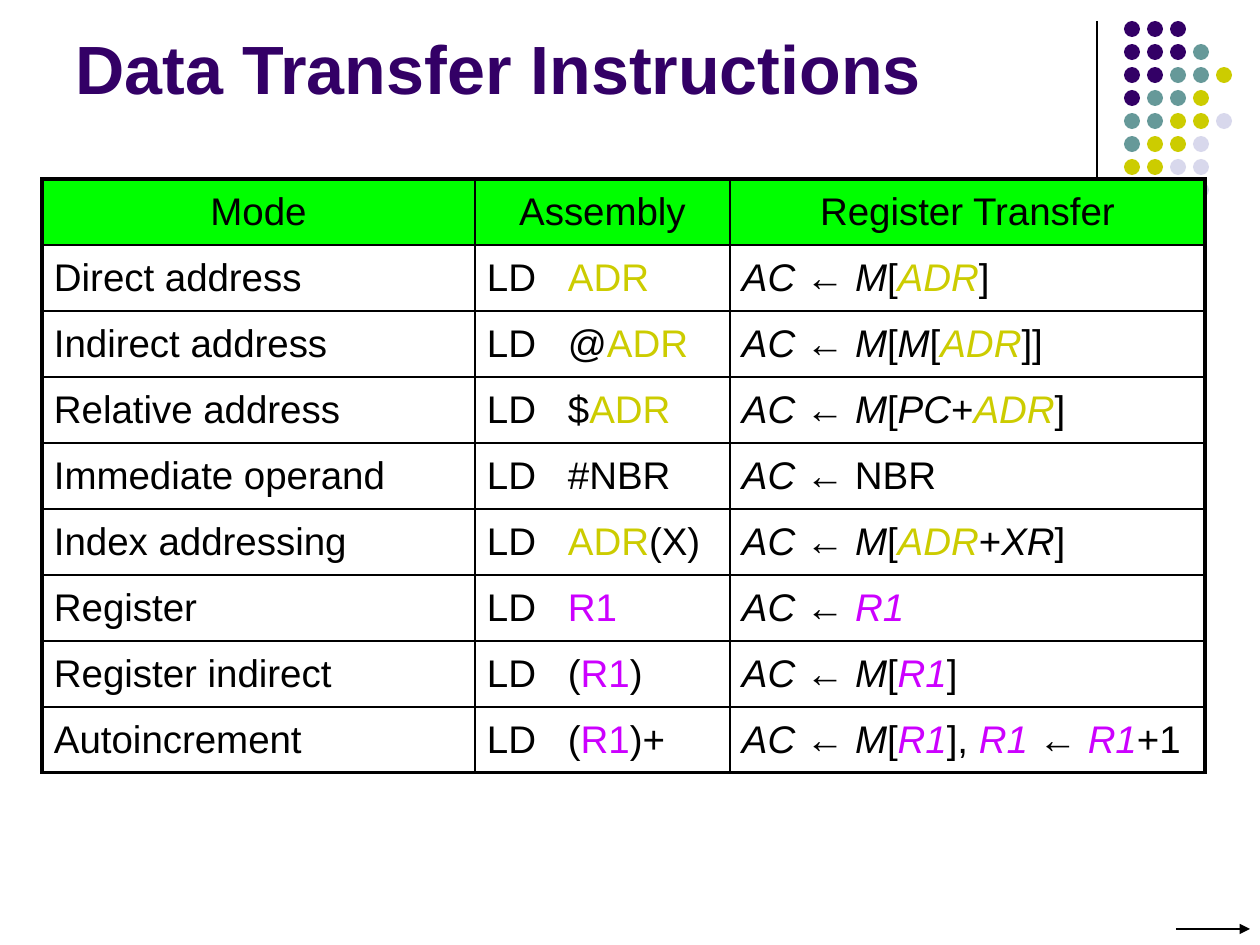
from typing import Any, NamedTuple

from lxml import etree
from pptx import Presentation
from pptx.dml.color import RGBColor
from pptx.enum.shapes import MSO_CONNECTOR, MSO_SHAPE
from pptx.enum.text import MSO_ANCHOR, MSO_AUTO_SIZE, PP_ALIGN
from pptx.oxml.ns import qn
from pptx.util import Emu, Pt

PX = 914400 / 126
OVAL = MSO_SHAPE.OVAL
STRAIGHT = MSO_CONNECTOR.STRAIGHT
LEFT, CENTER = PP_ALIGN.LEFT, PP_ALIGN.CENTER
MIDDLE, BOTTOM = MSO_ANCHOR.MIDDLE, MSO_ANCHOR.BOTTOM
NO_FIT = MSO_AUTO_SIZE.NONE

BLACK = RGBColor(0x00, 0x00, 0x00)
GREEN = RGBColor(0x00, 0xFF, 0x00)
PURPLE = RGBColor(0x33, 0x00, 0x66)
TEAL = RGBColor(0x66, 0x99, 0x99)
YELLOW = RGBColor(0xCC, 0xCC, 0x00)
LILAC = RGBColor(0xD8, 0xD8, 0xEC)
PINK = RGBColor(0xCC, 0x00, 0xFF)

DOTS = ["PPP", "PPPT", "PPTTY", "PTTY", "TTYYL", "TYYL", "YYLL", " L L"]
HUES = {"P": PURPLE, "T": TEAL, "Y": YELLOW, "L": LILAC}
TONES = {"ADR": YELLOW, "R1": PINK}
SLANTED = {"AC", "M", "PC", "XR", "ADR", "R1"}

TITLE_FONT = {"name": "Arial", "size": Pt(39), "bold": True}
CELL_FONT = {"name": "Arial", "size": Pt(22), "bold": False}
WIDTHS = [433, 255, 475]
ROW = 66
PAD = 12
TAB = 81


class Mode(NamedTuple):
    name: str
    code: str
    move: str


class Line(NamedTuple):
    x1: int
    y1: int
    x2: int
    y2: int
    arrow: bool


HEAD = Mode("Mode", "Assembly", "Register Transfer")
MODES = [
    Mode("Direct address", "LD\t|ADR", "AC| ← |M|[|ADR|]"),
    Mode("Indirect address", "LD\t@|ADR", "AC| ← |M|[|M|[|ADR|]]"),
    Mode("Relative address", "LD\t$|ADR", "AC| ← |M|[|PC|+|ADR|]"),
    Mode("Immediate operand", "LD\t#NBR", "AC| ← NBR"),
    Mode("Index addressing", "LD\t|ADR|(X)", "AC| ← |M|[|ADR|+|XR|]"),
    Mode("Register", "LD\t|R1", "AC| ← |R1"),
    Mode("Register indirect", "LD\t(|R1|)", "AC| ← |M|[|R1|]"),
    Mode("Autoincrement", "LD\t(|R1|)+", "AC| ← |M|[|R1|], |R1| ← |R1|+1"),
]
LINES = [Line(1097, 21, 1097, 230, False), Line(1176, 929, 1250, 929, True)]


def px(count: int) -> Emu:
    return Emu(round(count * PX))


def style(item: Any, values: dict[str, Any]) -> None:
    for key, value in values.items():
        setattr(item, key, value)


def add_title(slide: Any, text: str) -> None:
    title = slide.shapes.title
    style(title, {"left": px(63), "top": px(16), "width": px(1040), "height": px(98)})
    frame = title.text_frame
    style(frame, {"text": text, "word_wrap": True, "auto_size": NO_FIT,
                  "vertical_anchor": BOTTOM})
    para = frame.paragraphs[0]
    para.alignment = LEFT
    font = para.runs[0].font
    style(font, TITLE_FONT)
    font.color.rgb = PURPLE


def add_dots(slide: Any) -> None:
    for row, marks in enumerate(DOTS):
        for col, mark in enumerate(marks):
            if mark in HUES:
                dot = slide.shapes.add_shape(
                    OVAL, px(1124 + 23 * col), px(21 + 23 * row), px(16), px(16))
                dot.shadow.inherit = False
                dot.fill.solid()
                dot.fill.fore_color.rgb = HUES[mark]
                dot.line.fill.background()


def add_line(slide: Any, spot: Line) -> None:
    line = slide.shapes.add_connector(
        STRAIGHT, px(spot.x1), px(spot.y1), px(spot.x2), px(spot.y2))
    line.line.width = Pt(0.75)
    line.line.color.rgb = BLACK
    if spot.arrow:
        etree.SubElement(line.line._ln, qn("a:tailEnd"), type="triangle")
    etree.SubElement(line._element.spPr, qn("a:effectLst"))


def add_border(cell: Any, outer: dict[str, bool]) -> None:
    props = cell._tc.get_or_add_tcPr()
    for side, thick in outer.items():
        width = Pt(2.25 if thick else 1)
        edge = etree.SubElement(props, qn(f"a:ln{side}"), w=str(width))
        fill = etree.SubElement(edge, qn("a:solidFill"))
        etree.SubElement(fill, qn("a:srgbClr"), val=str(BLACK))


def fill_cell(cell: Any, text: str, head: bool, col: int) -> None:
    pad = px(0 if head else PAD)
    style(cell, {"margin_left": pad, "margin_right": 0, "margin_top": 0,
                 "margin_bottom": 0, "vertical_anchor": MIDDLE})
    if head:
        cell.fill.solid()
        cell.fill.fore_color.rgb = GREEN
    else:
        cell.fill.background()
    para = cell.text_frame.paragraphs[0]
    para.alignment = CENTER if head else LEFT
    if "\t" in text:
        tabs = etree.SubElement(para._p.get_or_add_pPr(), qn("a:tabLst"))
        etree.SubElement(tabs, qn("a:tab"), pos=str(px(TAB)), algn="l")
    for part in text.split("|"):
        run = para.add_run()
        run.text = part
        style(run.font, CELL_FONT)
        run.font.italic = col == 2 and part in SLANTED
        run.font.color.rgb = TONES.get(part, BLACK)


def add_modes(slide: Any) -> None:
    rows = [HEAD, *MODES]
    last, end = len(rows) - 1, len(WIDTHS) - 1
    table = slide.shapes.add_table(
        len(rows), len(WIDTHS), px(42), px(179), px(sum(WIDTHS)), px(ROW * len(rows))).table
    style(table, {"first_row": False, "horz_banding": False})
    for column, width in zip(table.columns, WIDTHS):
        column.width = px(width)
    for row, mode in enumerate(rows):
        table.rows[row].height = px(ROW)
        for col, text in enumerate(mode):
            cell = table.cell(row, col)
            add_border(cell, {"L": col == 0, "R": col == end,
                              "T": row == 0, "B": row == last})
            fill_cell(cell, text, row == 0, col)


def main() -> None:
    deck = Presentation()
    style(deck, {"slide_width": px(1260), "slide_height": px(945)})
    slide = deck.slides.add_slide(deck.slide_layouts[5])
    add_title(slide, "Data Transfer Instructions")
    add_dots(slide)
    for line in LINES:
        add_line(slide, line)
    add_modes(slide)
    deck.save("out.pptx")


if __name__ == "__main__":
    main()
